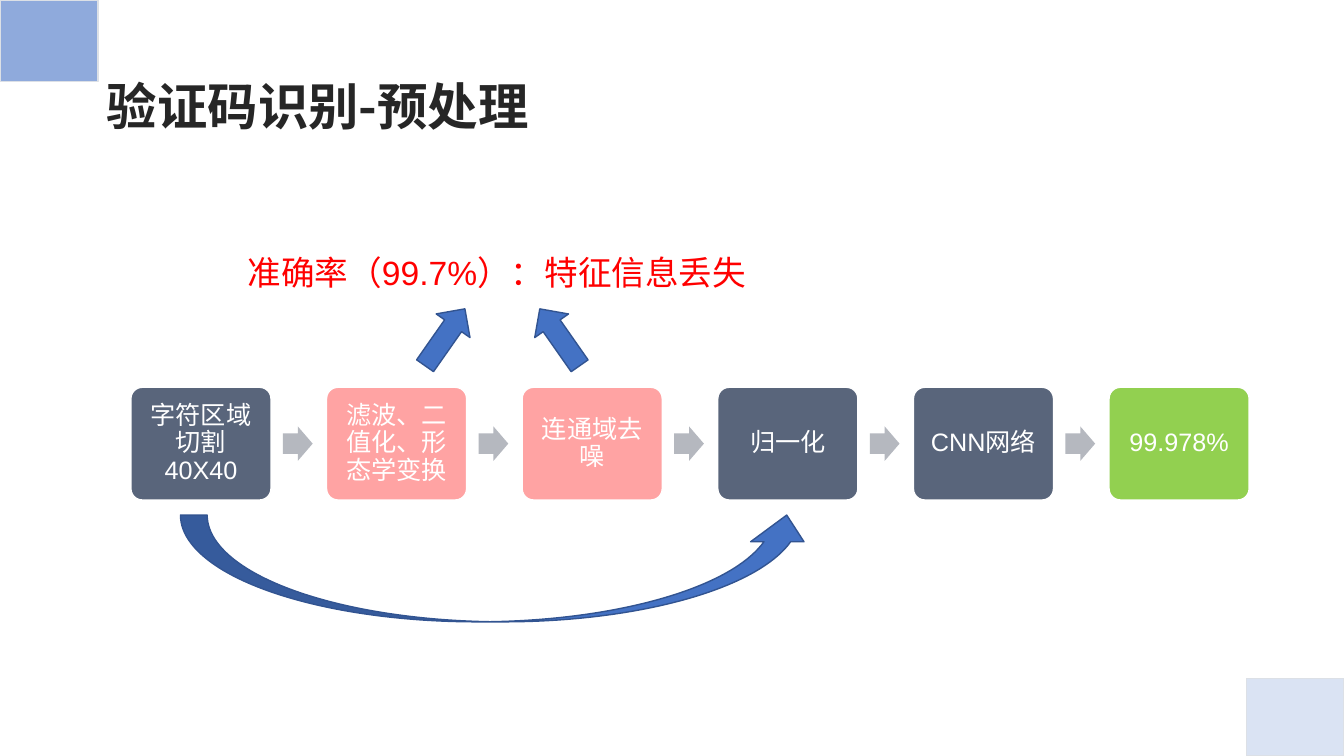
from dataclasses import dataclass

from lxml import etree
from pptx import Presentation
from pptx.dml.color import RGBColor
from pptx.enum import shapes, text
from pptx.oxml import ns
from pptx.util import Cm, Pt

TITLE = "验证码识别-预处理"
ACCURACY_NOTE = "准确率（99.7%）：特征信息丢失"
STEPS = [
    ("字符区域切割 40X40", "step"),
    ("滤波、二值化、形态学变换", "lossy"),
    ("连通域去噪", "lossy"),
    ("归一化", "step"),
    ("CNN网络", "step"),
    ("99.978%", "result"),
]


@dataclass(frozen=True)
class Theme:
    latin: str = "Arial"
    cjk: str = "Noto Sans CJK SC"
    title: str = "262626"
    note: str = "FF0000"
    white: str = "FFFFFF"
    step: str = "59657B"
    lossy: str = "FFA3A3"
    result: str = "92D050"
    flow: str = "B5B8BF"
    arrow: str = "4472C4"
    arrow_edge: str = "325491"
    top_corner: str = "8FAADC"
    bottom_corner: str = "DAE3F3"
    corner_edge: str = "DCE0E6"
    title_size: int = 36
    note_size: int = 24
    step_size: int = 18


THEME = Theme()
SLIDE_W, SLIDE_H = 33.87, 19.05
STEP_LEFT, STEP_TOP, STEP_W, STEP_H = 3.3, 9.76, 3.53, 2.84
STEP_PITCH = 4.93
FLOW_W, FLOW_H = 0.75, 0.87
FLOW_OFFSET = 3.83
STEP_INSET = 0.18
SHAPE = shapes.MSO_SHAPE


def place(left, top, width, height):
    return [Cm(length) for length in (left, top, width, height)]


def write(frame, words, *, size, color, latin=THEME.latin, bold=False,
          align=text.PP_ALIGN.LEFT, anchor=text.MSO_ANCHOR.TOP,
          spacing=None, inset=None):
    frame.word_wrap = True
    frame.auto_size = text.MSO_AUTO_SIZE.NONE
    frame.vertical_anchor = anchor
    if inset is not None:
        frame.margin_left = frame.margin_right = Cm(inset)
        frame.margin_top = frame.margin_bottom = Cm(inset)
    paragraph = frame.paragraphs[0]
    paragraph.alignment = align
    paragraph.line_spacing = spacing
    run = paragraph.add_run()
    run.text = words
    run.font.name = latin
    run.font.size = Pt(size)
    run.font.bold = bold
    run.font.color.rgb = RGBColor.from_string(color)
    east_asian = etree.Element(ns.qn("a:ea"), typeface=THEME.cjk)
    run.font._element.find(ns.qn("a:latin")).addnext(east_asian)


def draw(slide, preset, box, fill, edge=None, adjust=(), rotation=0):
    drawn = slide.shapes.add_shape(preset, *place(*box))
    drawn.shadow.inherit = False
    drawn.fill.solid()
    drawn.fill.fore_color.rgb = RGBColor.from_string(fill)
    if edge:
        drawn.line.color.rgb = RGBColor.from_string(edge)
        drawn.line.width = Pt(1)
    else:
        drawn.line.fill.background()
    for index, value in enumerate(adjust):
        drawn.adjustments[index] = value
    drawn.rotation = rotation
    return drawn


def add_corners(slide):
    draw(slide, SHAPE.RECTANGLE, (0, 0, 2.47, 2.06),
         THEME.top_corner, THEME.corner_edge)
    width, height = 2.45, 1.95
    draw(slide, SHAPE.RECTANGLE,
         (SLIDE_W - width, SLIDE_H - height, width, height),
         THEME.bottom_corner, THEME.corner_edge)


def add_title(slide):
    title = slide.shapes.title
    title.left, title.top, title.width, title.height = place(2.44, 0.94, 29.01, 3.12)
    write(title.text_frame, TITLE, size=THEME.title_size, color=THEME.title,
          latin=THEME.cjk, bold=True, anchor=text.MSO_ANCHOR.MIDDLE, spacing=1.2)


def add_pipeline(slide):
    flow_top = STEP_TOP + (STEP_H - FLOW_H) / 2
    for index, (label, role) in enumerate(STEPS):
        left = STEP_LEFT + index * STEP_PITCH
        step = draw(slide, SHAPE.ROUNDED_RECTANGLE,
                    (left, STEP_TOP, STEP_W, STEP_H),
                    getattr(THEME, role), THEME.white, adjust=[0.1])
        write(step.text_frame, label, size=THEME.step_size, color=THEME.white,
              align=text.PP_ALIGN.CENTER, anchor=text.MSO_ANCHOR.MIDDLE,
              spacing=0.9, inset=STEP_INSET)
        if index < len(STEPS) - 1:
            draw(slide, SHAPE.RIGHT_ARROW,
                 (left + FLOW_OFFSET, flow_top, FLOW_W, FLOW_H),
                 THEME.flow, adjust=[0.6, 0.5])


def add_accuracy_note(slide):
    note = slide.shapes.add_textbox(*place(5.99, 6.22, 13.08, 1.27))
    write(note.text_frame, ACCURACY_NOTE, size=THEME.note_size, color=THEME.note)
    for left, rotation in ((10.34, 305), (13.23, 235)):
        draw(slide, SHAPE.RIGHT_ARROW, (left, 7.98, 1.75, 1.04),
             THEME.arrow, THEME.arrow_edge, rotation=rotation)


def main():
    deck = Presentation()
    deck.slide_width, deck.slide_height = Cm(SLIDE_W), Cm(SLIDE_H)
    slide = deck.slides.add_slide(deck.slide_layouts.get_by_name("Title Only"))
    add_corners(slide)
    add_title(slide)
    add_pipeline(slide)
    draw(slide, SHAPE.CURVED_UP_ARROW, (4.55, 12.98, 15.95, 2.69),
         THEME.arrow, THEME.arrow_edge)
    add_accuracy_note(slide)
    deck.save("out.pptx")


if __name__ == "__main__":
    main()
